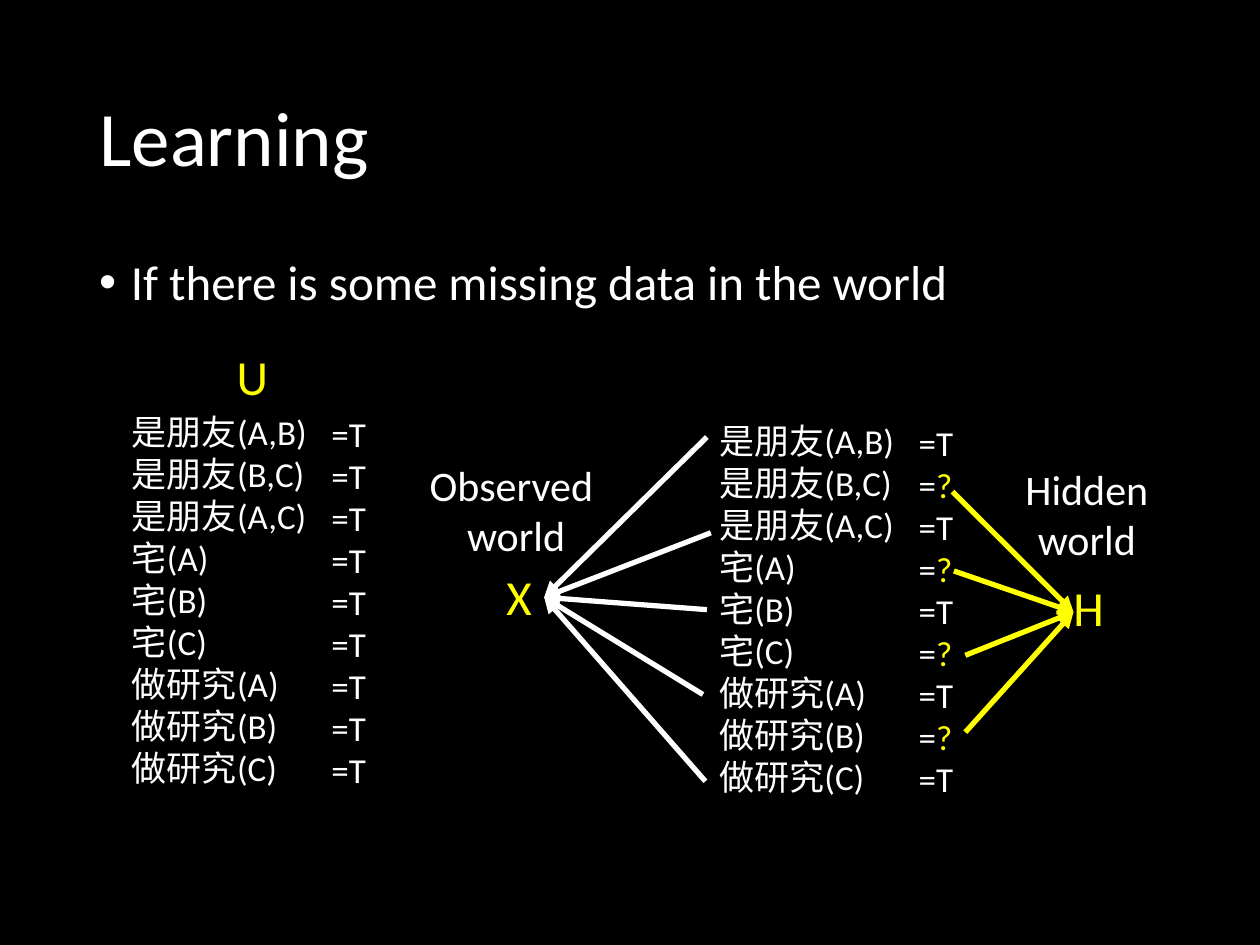
import dataclasses

import lxml.etree
import pptx
import pptx.dml.color
import pptx.enum.shapes
import pptx.enum.text
import pptx.oxml.ns
import pptx.util

Cm = pptx.util.Cm
Align = pptx.enum.text.PP_ALIGN
qn = pptx.oxml.ns.qn


@dataclasses.dataclass(frozen=True)
class Theme:
    font: str = "Calibri"
    background: str = "000000"
    text: str = "FFFFFF"
    accent: str = "FFFF00"
    title_size: int = 44
    body_size: int = 28
    label_size: int = 24
    fact_size: int = 20
    line_width: int = 3


def rgb(color):
    return pptx.dml.color.RGBColor.from_string(color)


class Page:
    def __init__(self, deck, theme):
        self.theme = theme
        self.slide = deck.slides.add_slide(deck.slide_layouts[5])
        fill = self.slide.background.fill
        fill.solid()
        fill.fore_color.rgb = rgb(theme.background)

    def style(self, span, size, color):
        span.font.name = self.theme.font
        span.font.size = pptx.util.Pt(size)
        span.font.color.rgb = rgb(color)

    def title(self, text, left, top, width, height):
        box = self.slide.shapes.title
        box.left, box.top, box.width, box.height = map(Cm, (left, top, width, height))
        frame = box.text_frame
        frame.text = text
        frame.vertical_anchor = pptx.enum.text.MSO_ANCHOR.MIDDLE
        para = frame.paragraphs[0]
        para.alignment = Align.LEFT
        para.line_spacing = 0.9
        self.style(para.runs[0], self.theme.title_size, self.theme.text)

    def text(self, lines, left, top, width, height, size, color=Theme.text,
             align=Align.LEFT, wrap=True, parent=None):
        """Add one paragraph per line; a question mark is set in the accent colour."""
        shapes = (parent or self.slide).shapes
        box = shapes.add_textbox(*map(Cm, (left, top, width, height)))
        frame = box.text_frame
        frame.word_wrap = wrap
        frame.auto_size = pptx.enum.text.MSO_AUTO_SIZE.SHAPE_TO_FIT_TEXT
        frame.text = "\n".join(line.rstrip("?") for line in lines)
        for para, line in zip(frame.paragraphs, lines):
            para.alignment = align
            self.style(para.runs[0], size, color)
            if line.endswith("?"):
                span = para.add_run()
                span.text = "?"
                self.style(span, size, self.theme.accent)
        return box

    def bullet(self, text, left, top, width, height):
        box = self.text([text], left, top, width, height, self.theme.body_size)
        box.text_frame.auto_size = pptx.enum.text.MSO_AUTO_SIZE.NONE
        para = box.text_frame.paragraphs[0]
        para.line_spacing = 0.9
        properties = para._p.get_or_add_pPr()
        properties.set("marL", str(Cm(0.64)))
        properties.set("indent", str(-Cm(0.64)))
        lxml.etree.SubElement(properties, qn("a:buFont"), typeface="Arial")
        lxml.etree.SubElement(properties, qn("a:buChar"), char="•")

    def world(self, facts, values, left, top, parent=None):
        """Add a column of facts with their values beside it."""
        size = self.theme.fact_size
        self.text(facts, left, top, 4.22, 7.95, size, wrap=False, parent=parent)
        self.text(values, left + 4.02, top + 0.04, 3.38, 7.95, size, parent=parent)

    def symbol(self, letter, left, top, width):
        self.text([letter], left, top, width, 1.45, self.theme.body_size,
                  self.theme.accent, wrap=False)

    def label(self, lines, left, top, width):
        self.text(lines, left, top, width, 2.31, self.theme.label_size,
                  align=Align.CENTER)

    def arrows(self, starts, end, color):
        for start in starts:
            arrow = self.slide.shapes.add_connector(
                pptx.enum.shapes.MSO_CONNECTOR.STRAIGHT, *map(Cm, (*start, *end)))
            arrow.line.color.rgb = rgb(color)
            arrow.line.width = pptx.util.Pt(self.theme.line_width)
            lxml.etree.SubElement(arrow.line._get_or_add_ln(), qn("a:tailEnd"),
                                  type="triangle")
            lxml.etree.SubElement(arrow._element.spPr, qn("a:effectLst"))


def main():
    deck = pptx.Presentation()
    deck.slide_width, deck.slide_height = Cm(25.4), Cm(19.05)
    theme = Theme()
    page = Page(deck, theme)

    page.title("Learning", 1.75, 1.02, 21.9, 3.68)
    page.bullet("If there is some missing data in the world", 1.75, 5.08, 21.9, 12.09)

    facts = [f"是朋友({pair})" for pair in ("A,B", "B,C", "A,C")]
    facts += [f"{name}({person})" for name in ("宅", "做研究") for person in "ABC"]
    known = ["=T"] * len(facts)
    partial = ["=?" if row % 2 else "=T" for row in range(len(facts))]
    page.world(facts, known, 2.41, 8.15)
    page.symbol("U", 4.52, 6.86, 1.14)
    page.world(facts, partial, 14.25, 8.33, page.slide.shapes.add_group_shape())

    page.symbol("X", 9.96, 11.3, 1.04)
    page.symbol("H", 21.39, 11.51, 1.14)
    page.label(["Hidden world"], 20.17, 9.22, 3.48)
    page.label(["Observed ", "world"], 8.41, 9.14, 3.99)

    hidden = [(19.2, 9.91), (19.23, 11.51), (19.46, 13.21), (19.46, 14.76)]
    observed = [(14.25, 8.81), (14.33, 10.74), (14.17, 14), (14.25, 12.29),
                (14.22, 15.75)]
    page.arrows(hidden, (21.64, 12.34), theme.accent)
    page.arrows(observed, (10.97, 12.04), theme.text)

    deck.save("out.pptx")


if __name__ == "__main__":
    main()
